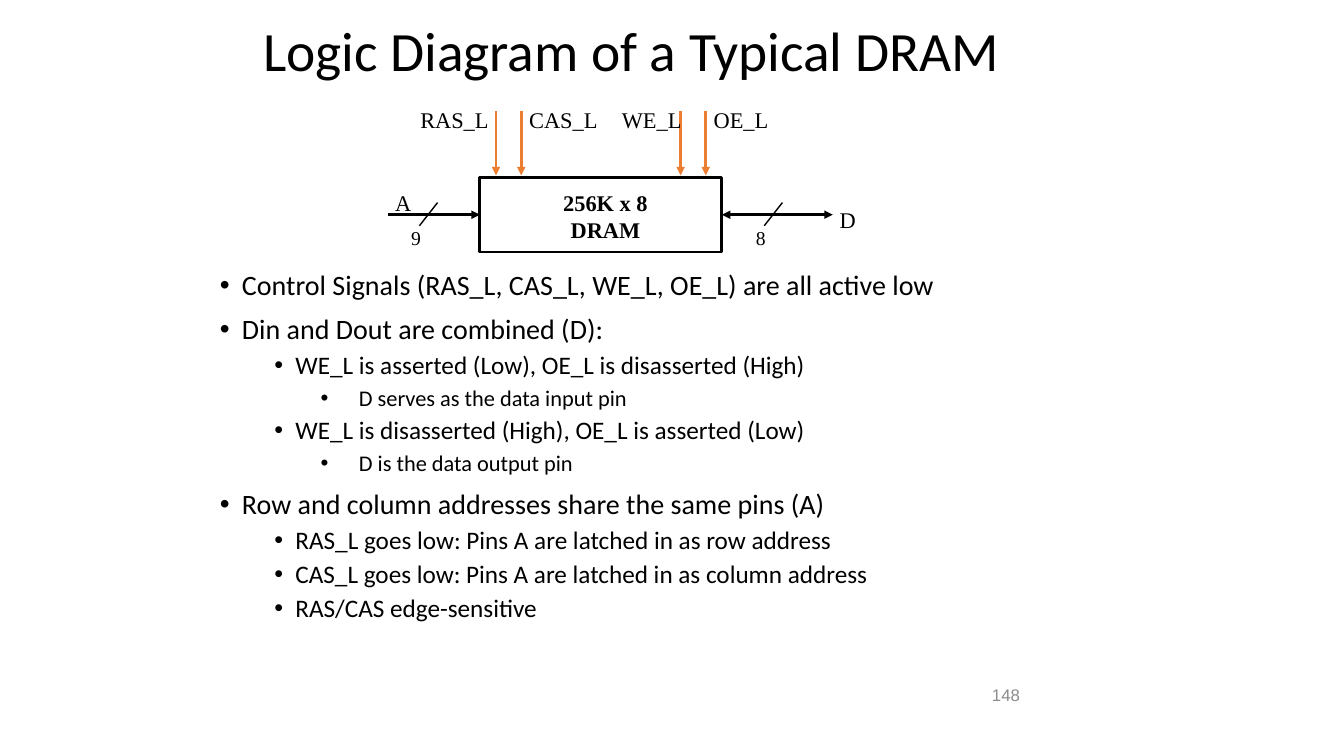
"""Build the slide showing the logic diagram of a typical DRAM."""
from typing import Any, NamedTuple, Optional

from lxml import etree
from pptx import Presentation
from pptx import util as u
from pptx.dml.color import RGBColor
from pptx.enum import shapes, text
from pptx.oxml import ns

BLACK = RGBColor(0x00, 0x00, 0x00)
ORANGE = RGBColor(0xED, 0x7D, 0x31)
GRAY = RGBColor(0x8C, 0x8C, 0x8C)
SERIF = "Times New Roman"
SANS = "Calibri"

WIRE_Y = 2.13
SIGNAL_TOP, SIGNAL_BOTTOM = 1.1, 1.74


class Label(NamedTuple):
    words: str
    left: float
    top: float
    width: float
    height: float = 0.37
    size: float = 16
    bold: bool = False
    name: str = SERIF
    color: RGBColor = BLACK
    align: text.PP_ALIGN = text.PP_ALIGN.LEFT
    anchor: text.MSO_ANCHOR = text.MSO_ANCHOR.TOP


class Wire(NamedTuple):
    start: tuple[float, float]
    end: tuple[float, float]
    color: RGBColor = BLACK
    width: float = 2
    arrows: tuple[str, ...] = ("tailEnd",)
    end_side: Optional[int] = None


class Level(NamedTuple):
    margin: float
    hanging: float
    size: float
    before: float


LEVELS = (
    Level(0.22, 0.22, 20, 10),
    Level(0.75, 0.21, 18, 5),
    Level(1.38, 0.38, 16, 5),
)

BULLETS = (
    (0, "Control Signals (RAS_L, CAS_L, WE_L, OE_L) are all active low"),
    (0, "Din and Dout are combined (D):"),
    (1, "WE_L is asserted (Low), OE_L is disasserted (High)"),
    (2, "D serves as the data input pin"),
    (1, "WE_L is disasserted (High), OE_L is asserted (Low)"),
    (2, "D is the data output pin"),
    (0, "Row and column addresses share the same pins (A)"),
    (1, "RAS_L goes low: Pins A are latched in as row address"),
    (1, "CAS_L goes low: Pins A are latched in as column address"),
    (1, "RAS/CAS edge-sensitive"),
)

LABELS = (
    Label("RAS_L", 4.07, 1, 0.88),
    Label("CAS_L", 5.15, 1, 0.88),
    Label("WE_L", 6.07, 1, 0.8),
    Label("OE_L", 6.98, 1, 0.75),
    Label("A", 3.82, 1.83, 0.36),
    Label("D", 8.23, 2, 0.36),
    Label("9", 3.98, 2.19, 0.3, 0.33, 14),
    Label("8", 7.4, 2.19, 0.3, 0.33, 14),
    Label("256K x 8\nDRAM", 5.48, 1.83, 1.05, 0.64, bold=True,
          align=text.PP_ALIGN.CENTER),
    Label("148", 9.74, 6.66, 0.67, 0.47, 12, name="Arial", color=GRAY,
          anchor=text.MSO_ANCHOR.MIDDLE),
)

SIGNALS = tuple(
    Wire((x, SIGNAL_TOP), (x, SIGNAL_BOTTOM), ORANGE)
    for x in (4.92, 5.17, 6.75, 7)
)
BUSES = (
    Wire((3.85, WIRE_Y), (4.76, WIRE_Y), end_side=1),
    Wire((8.26, WIRE_Y), (7.16, WIRE_Y), arrows=("headEnd", "tailEnd"), end_side=3),
)
SLASHES = tuple(
    Wire((x, 2.01), (x - 0.18, 2.24), width=1, arrows=()) for x in (4.34, 7.76)
)


def apply(target: Any, values: dict[str, Any]) -> None:
    """Set each named attribute of the target."""
    for name, value in values.items():
        setattr(target, name, value)


def place(shape: Any, left: float, top: float, width: float, height: float) -> None:
    """Move and size a shape, in inches."""
    apply(shape, {"left": u.Inches(left), "top": u.Inches(top),
                  "width": u.Inches(width), "height": u.Inches(height)})


def format_font(font: Any, name: str, size: float, color: RGBColor, bold: bool = False) -> None:
    """Give a font its face, size, weight and colour."""
    apply(font, {"name": name, "size": u.Pt(size), "bold": bold})
    font.color.rgb = color


def add_label(slide: Any, label: Label) -> None:
    """Add a small text box."""
    shape = slide.shapes.add_textbox(
        *(u.Inches(n) for n in (label.left, label.top, label.width, label.height)))
    frame = shape.text_frame
    frame.text = label.words
    apply(frame, {"word_wrap": False, "vertical_anchor": label.anchor})
    for paragraph in frame.paragraphs:
        paragraph.alignment = label.align
        format_font(paragraph.font, label.name, label.size, label.color, label.bold)


def add_wire(slide: Any, wire: Wire, chip: Any) -> None:
    """Add a straight line, joined to the chip where it has an end side."""
    connector = slide.shapes.add_connector(
        shapes.MSO_CONNECTOR.STRAIGHT,
        *(u.Inches(n) for n in wire.start + wire.end))
    if wire.end_side is not None:
        connector.end_connect(chip, wire.end_side)
    connector.line.color.rgb = wire.color
    connector.line.width = u.Pt(wire.width)
    properties = connector.element.spPr
    outline = properties.find(ns.qn("a:ln"))
    for arrow in wire.arrows:
        etree.SubElement(outline, ns.qn(f"a:{arrow}"), type="triangle")
    etree.SubElement(properties, ns.qn("a:effectLst"))


def add_chip(slide: Any) -> Any:
    """Add the outlined DRAM block."""
    chip = slide.shapes.add_shape(
        shapes.MSO_SHAPE.RECTANGLE,
        *(u.Inches(n) for n in (4.76, 1.76, 2.4, 0.74)))
    chip.shadow.inherit = False
    chip.fill.background()
    chip.line.color.rgb = BLACK
    chip.line.width = u.Pt(2)
    return chip


def fill_title(title: Any) -> None:
    """Write the slide title."""
    place(title, 2.51, 0.33, 8.77, 0.4)
    frame = title.text_frame
    frame.text = "Logic Diagram of a Typical DRAM"
    apply(frame, {"auto_size": text.MSO_AUTO_SIZE.NONE,
                  "vertical_anchor": text.MSO_ANCHOR.MIDDLE})
    paragraph = frame.paragraphs[0]
    apply(paragraph, {"alignment": text.PP_ALIGN.LEFT, "line_spacing": 0.9})
    format_font(paragraph.font, SANS, 39.6, BLACK)


def fill_body(body: Any) -> None:
    """Write the bulleted list."""
    place(body, 2.11, 2.66, 8.96, 3.58)
    frame = body.text_frame
    frame.text = "\n".join(words for _, words in BULLETS)
    apply(frame, {"auto_size": text.MSO_AUTO_SIZE.NONE,
                  "margin_left": u.Inches(0.07), "margin_right": u.Inches(0.07),
                  "margin_top": u.Inches(0.03), "margin_bottom": u.Inches(0.03)})
    for index, (depth, _) in enumerate(BULLETS):
        level = LEVELS[depth]
        paragraph = frame.paragraphs[index]
        properties = paragraph._p.get_or_add_pPr()
        properties.set("marL", str(u.Inches(level.margin)))
        properties.set("indent", str(-u.Inches(level.hanging)))
        etree.SubElement(properties, ns.qn("a:buFont"), typeface="Arial")
        etree.SubElement(properties, ns.qn("a:buChar"), char="•")
        apply(paragraph, {"level": depth, "line_spacing": 0.9,
                          "space_before": u.Pt(level.before if index else 0)})
        format_font(paragraph.font, SANS, level.size, BLACK)


def main() -> None:
    """Build and save the presentation."""
    presentation = Presentation()
    apply(presentation, {"slide_width": u.Inches(13.33), "slide_height": u.Inches(7.5)})
    slide = presentation.slides.add_slide(presentation.slide_layouts[1])
    fill_title(slide.shapes.title)
    fill_body(slide.placeholders[1])
    chip = add_chip(slide)
    for wire in SIGNALS + BUSES + SLASHES:
        add_wire(slide, wire, chip)
    for label in LABELS:
        add_label(slide, label)
    presentation.save("out.pptx")


if __name__ == "__main__":
    main()
